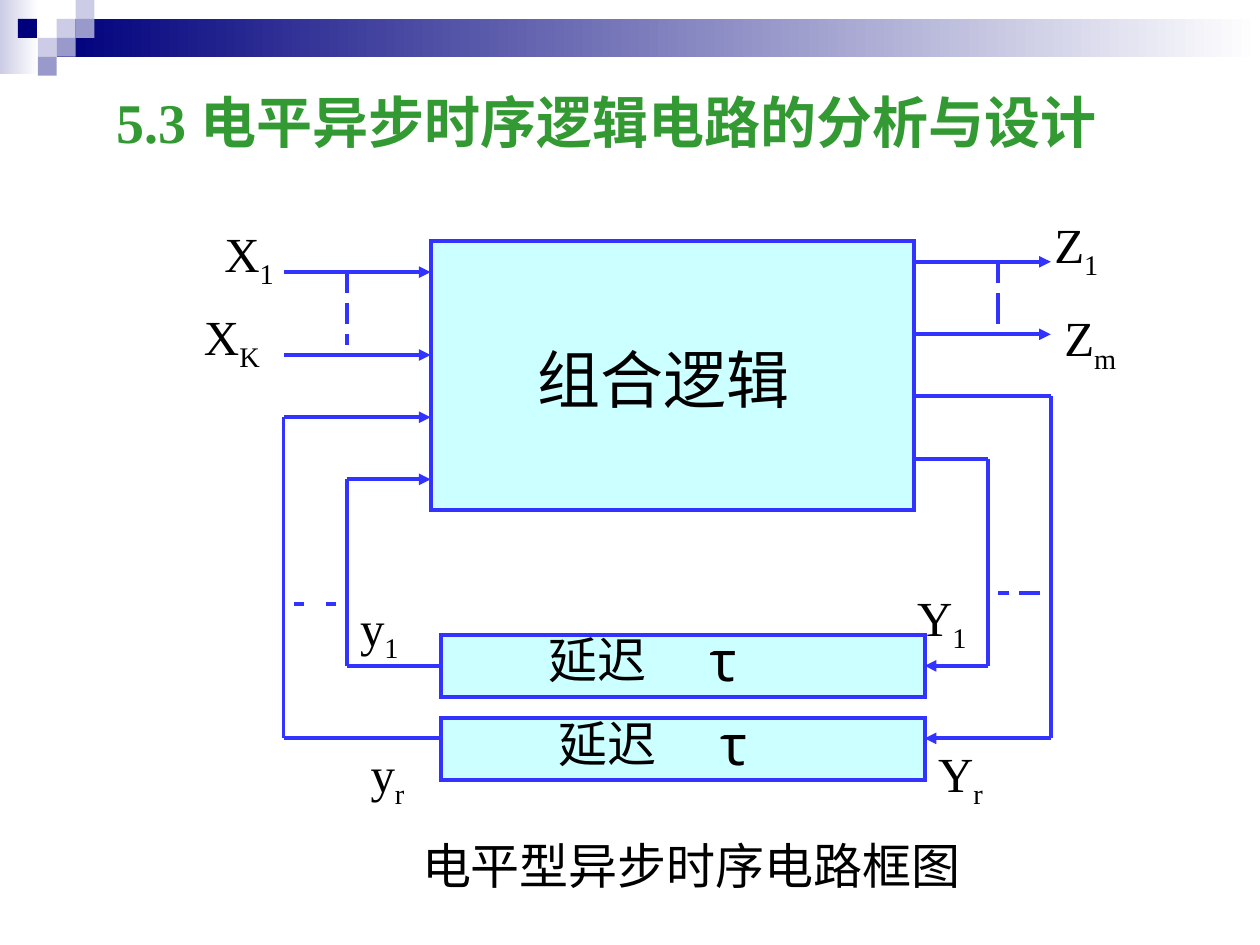
from lxml.etree import SubElement
from pptx import Presentation
from pptx.dml.color import RGBColor
from pptx.enum.shapes import MSO_CONNECTOR as CONN, MSO_SHAPE as SHAPE
from pptx.enum.text import MSO_AUTO_SIZE as AUTO
from pptx.oxml.ns import qn
from pptx.util import Inches, Pt

hx = RGBColor.from_string
BLUE, CYAN, BLACK = "3333FF", "CCFFFF", "000000"
NAVY, PALE, MID, WHITE = "00007D", "CCCCE6", "9999CC", "FFFFFF"
SERIF, SANS = "Times New Roman", "Montserrat"

prs = Presentation()
prs.slide_width, prs.slide_height = Inches(10), Inches(7.5)
s = prs.slides.add_slide(prs.slide_layouts[6])

X0, Y0 = Inches(2.25), Inches(2.16)
COL, ROW = Inches(6.09) / 73, Inches(3.7) / 45
SQ = Inches(0.15)


def at(c, r):
    return int(X0 + c * COL), int(Y0 + r * ROW)


def write(text, c, r, w, h, size=28, font=SANS, color=BLACK, sub="", bold=False):
    tb = s.shapes.add_textbox(*at(c, r), int(w * COL), int(h * ROW))
    tf = tb.text_frame
    tf.word_wrap = True
    tf.auto_size = AUTO.SHAPE_TO_FIT_TEXT
    p = tf.paragraphs[0]
    for part in filter(None, (text, sub)):
        run = p.add_run()
        run.text = part
        run.font.size, run.font.name, run.font.bold = Pt(size), font, bold
        run.font.color.rgb = hx(color)
    if sub:
        run.font._element.set("baseline", "-25000")


for x, y, w, h, color in [(0, 0, 2.05, 3.9, PALE), (3, 1, 63.67, 2, NAVY)]:
    sp = s.shapes.add_shape(SHAPE.RECTANGLE, int(x * SQ), int(y * SQ), int(w * SQ), int(h * SQ))
    sp.shadow.inherit = False
    sp.line.fill.background()
    sp.fill.gradient()
    sp.fill.gradient_angle = 180
    for stop, shade in zip(sp.fill.gradient_stops, (WHITE, color)):
        stop.color.rgb = hx(shade)

for x, y, color in [(3, 1, PALE), (4, 0, PALE), (4, 1, MID), (2, 2, PALE),
                    (0.95, 1, NAVY), (3, 2, MID), (2, 3, MID)]:
    sp = s.shapes.add_shape(SHAPE.RECTANGLE, int(x * SQ), y * SQ, SQ, SQ)
    sp.shadow.inherit = False
    sp.line.fill.background()
    sp.fill.solid()
    sp.fill.fore_color.rgb = hx(color)

for c, r, h in [(14, -3, 26), (15, 35, 6), (15, 43, 6)]:
    sp = s.shapes.add_shape(SHAPE.RECTANGLE, *at(c, r), int(46 * COL), int(h * ROW))
    sp.shadow.inherit = False
    sp.fill.solid()
    sp.fill.fore_color.rgb = hx(CYAN)
    sp.line.color.rgb = hx(BLUE)
    sp.line.width = Pt(2.25)
    SubElement(sp.line._get_or_add_ln(), qn("a:miter"), lim="800000")

arrows = [(0, 0, 14, 0), (0, 8, 14, 8), (6, 20, 14, 20), (0, 14, 14, 14),
          (60, -1, 73, -1), (60, 6, 73, 6), (67, 38, 61, 38), (73, 45, 61, 45)]
wires = [(6, 20, 6, 38), (6, 38, 15, 38), (0, 14, 0, 45), (0, 45, 15, 45),
         (60, 18, 67, 18), (67, 18, 67, 38), (60, 12, 73, 12), (73, 12, 73, 45)]
dashes = [(6, 0, 6, 2), (6, 3, 6, 5), (6, 6, 6, 7),
          (68, -1, 68, 1), (68, 2, 68, 3), (68, 3, 68, 5),
          (1, 32, 2, 32), (4, 32, 5, 32), (68, 31, 69, 31), (70, 31, 72, 31)]
dot = (68, 29, 68, 29)

for seg in arrows + wires + dashes + [dot]:
    cn = s.shapes.add_connector(CONN.STRAIGHT, *at(*seg[:2]), *at(*seg[2:]))
    cn.line.color.rgb = hx(BLACK if seg == dot else BLUE)
    cn.line.width = Pt(2.25)
    if seg in arrows:
        SubElement(cn.line._get_or_add_ln(), qn("a:tailEnd"), type="triangle")
    SubElement(cn._element.spPr, qn("a:effectLst"))

for name, sub, c, r in [
        ("X", "1", -6.8, -5.3), ("X", "K", -8.75, 2.7),
        ("Z", "1", 72.15, -6.2), ("Z", "m", 73.1, 2.85),
        ("Y", "1", 59.1, 29.8), ("Y", "r", 61.1, 44.9),
        ("y", "1", 6.1, 30.8), ("y", "r", 7.1, 44.9)]:
    write(name, c, r, 8.5, 7.7, font=SERIF, sub=sub)

write("组合", 23, 6, 14.4, 8.5, size=36)
write("逻辑", 35, 6, 17.4, 8.5, size=36)
for c, r in [(24, 33.9), (25, 42)]:
    write("延迟", c, r, 13, 6.9)
    write("τ", c + 15.35, r - 0.35, 6, 7.8, size=32)

write("电平型异步时序电路框图", 12, 53.75, 56, 6.9)
write("5.3 电平异步时序逻辑电路的分析与设计", -17.1, -18.4, 104.6, 7.8,
      size=32, font=SERIF, color="339933", bold=True)

prs.save("out.pptx")
